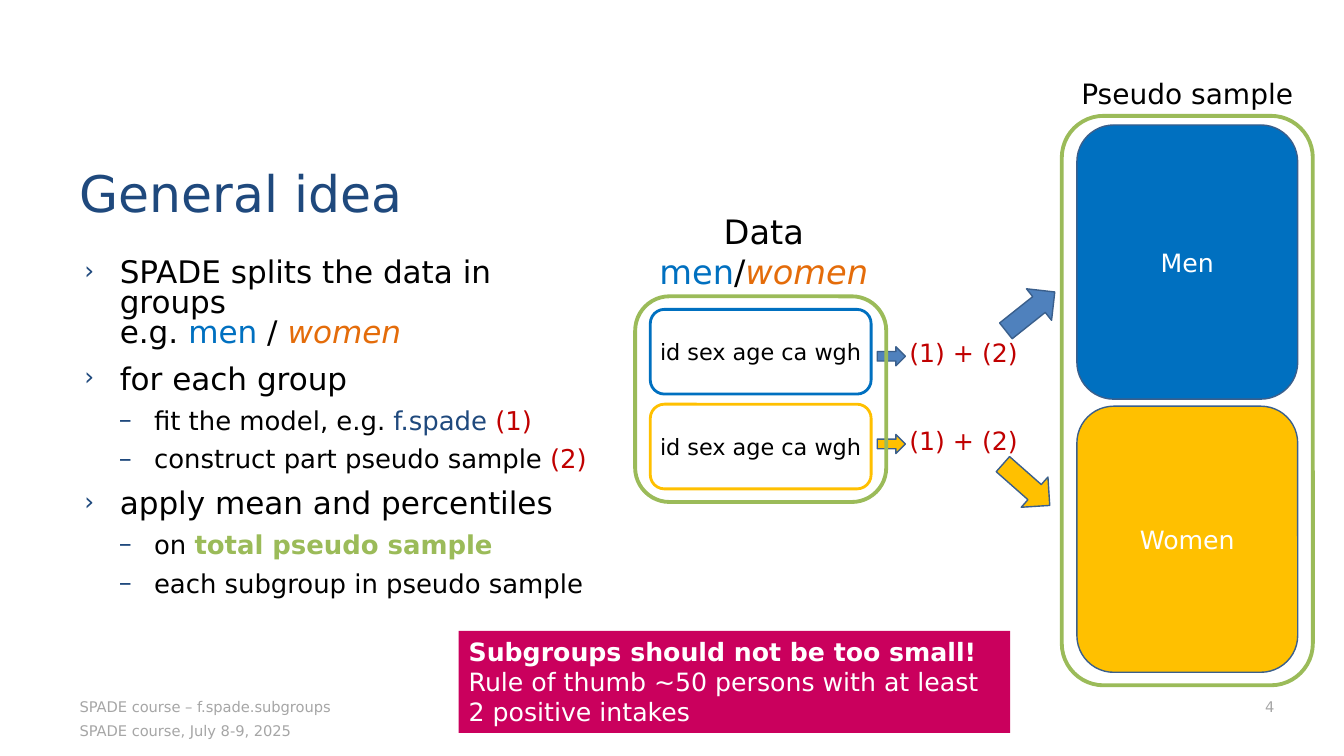
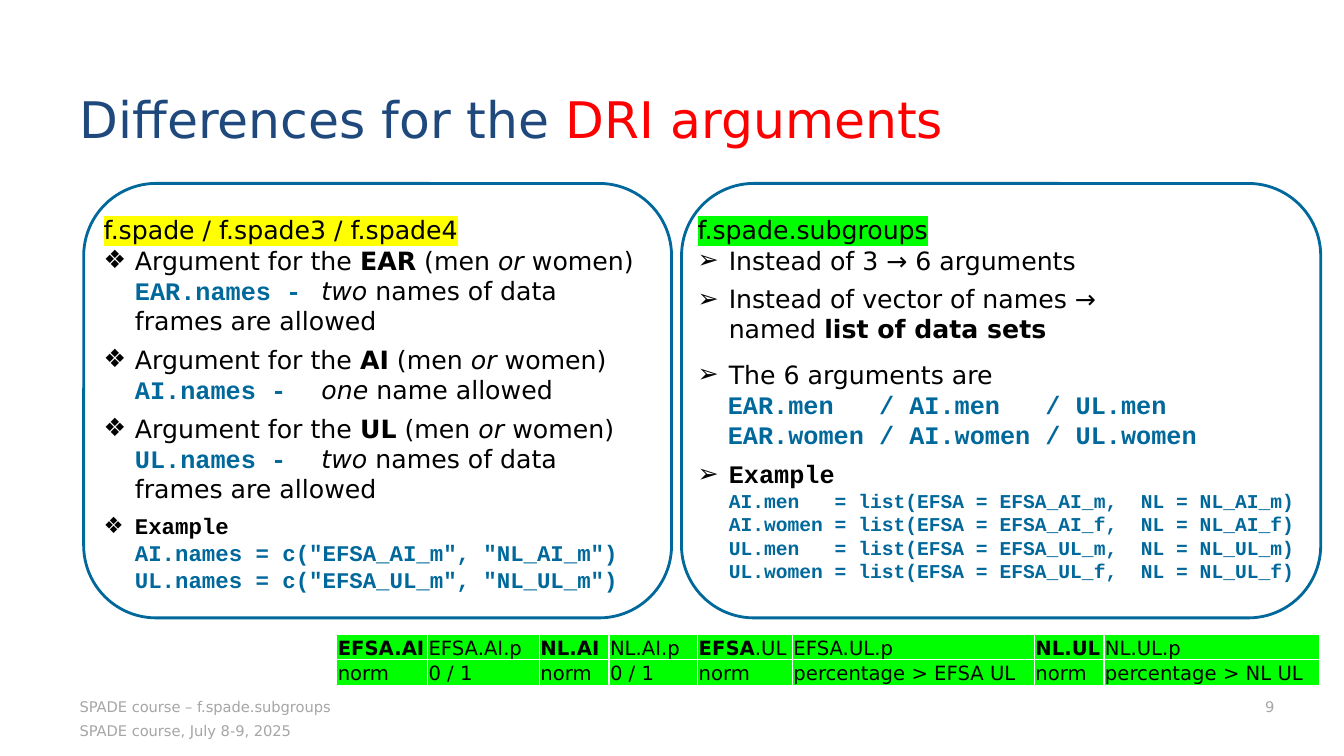
from copy import deepcopy

from lxml import etree
from pptx import Presentation
from pptx.dml.color import RGBColor
from pptx.enum.shapes import MSO_SHAPE as Shape
from pptx.enum.text import MSO_ANCHOR as Anchor, PP_ALIGN as Align
from pptx.oxml.ns import qn
from pptx.util import Inches, Pt

COLORS = {
    "black": "000000", "white": "FFFFFF", "navy": "1F497D", "grey": "A6A6A6",
    "blue": "0070C0", "orange": "E46C0A", "red": "C00000", "bright red": "FF0000",
    "green": "9BBB59", "gold": "FFC000", "steel": "4F81BD", "edge": "3A5F8C",
    "pink": "CA005D", "code": "01689B", "yellow": "FFFF00", "lime": "00FF00",
}
SANS, MONO = "DejaVu Sans", "Courier New"

deck = Presentation()
deck.slide_width, deck.slide_height = Inches(13.33), Inches(7.5)
# Places are given on a grid of 100 columns by 100 rows.
COLUMN, ROW = deck.slide_width / 100, deck.slide_height / 100


def draw(page, place, kind=None, fill=None, line=None, weight=1, turn=0):
    """Add a preset shape, or a text box when no kind is given."""
    left, top, width, height = place
    bounds = [int(left * COLUMN), int(top * ROW), int(width * COLUMN), int(height * ROW)]
    if kind is None:
        return page.shapes.add_textbox(*bounds)
    shape = page.shapes.add_shape(kind, *bounds)
    shape.shadow.inherit = False
    shape.rotation = turn
    if fill:
        shape.fill.solid()
        shape.fill.fore_color.rgb = RGBColor.from_string(COLORS[fill])
    else:
        shape.fill.background()
    if line:
        shape.line.color.rgb = RGBColor.from_string(COLORS[line])
        shape.line.width = Pt(weight)
    else:
        shape.line.fill.background()
    return shape


def write(frame, paragraphs, align=Align.LEFT, anchor=Anchor.TOP,
          insets=(0.1, 0.05, 0.1, 0.05), spacing=None, **base):
    """Fill a frame; a paragraph is (spans, layout), a span is (text, format)."""
    frame.word_wrap = True
    frame.vertical_anchor = anchor
    (frame.margin_left, frame.margin_top,
     frame.margin_right, frame.margin_bottom) = map(Inches, insets)
    for index, (spans, layout) in enumerate(paragraphs):
        para = frame.add_paragraph() if index else frame.paragraphs[0]
        para.alignment = align
        para.level = layout.get("level", 0)
        properties = para._p.get_or_add_pPr()
        if "indent" in layout:
            properties.set("marL", str(Inches(layout["indent"])))
            properties.set("indent", str(-Inches(layout.get("hanging", 0))))
        if "bullet" in layout:
            color = etree.SubElement(properties, qn("a:buClr"))
            etree.SubElement(color, qn("a:srgbClr"), val=COLORS[layout.get("bullet_color", "black")])
            etree.SubElement(properties, qn("a:buSzPct"), val=str(layout.get("bullet_size", 100) * 1000))
            etree.SubElement(properties, qn("a:buFont"), typeface=SANS)
            etree.SubElement(properties, qn("a:buChar"), char=layout["bullet"])
        if "tab" in layout:
            tabs = etree.SubElement(properties, qn("a:tabLst"))
            etree.SubElement(tabs, qn("a:tab"), pos=str(Inches(layout["tab"])), algn="l")
        para.line_spacing = layout.get("spacing", spacing)
        para.space_before = Pt(layout.get("before", 0) if index else 0)
        para.space_after = Pt(layout.get("after", 0))
        for text, changes in spans:
            style = {"size": 18, "font": SANS, "color": "black", **base, **changes}
            for number, piece in enumerate(text.split("\n")):
                if number:
                    para.add_line_break()
                    para._p[-1].append(deepcopy(span._r.rPr))
                span = para.add_run()
                span.text = piece
                span.font.size = Pt(style["size"])
                span.font.name = style["font"]
                span.font.bold = style.get("bold", False)
                span.font.italic = style.get("italic", False)
                span.font.color.rgb = RGBColor.from_string(COLORS[style["color"]])
                if "highlight" in style:
                    mark = etree.Element(qn("a:highlight"))
                    etree.SubElement(mark, qn("a:srgbClr"), val=COLORS[style["highlight"]])
                    span._r.rPr.find(qn("a:latin")).addprevious(mark)


# Title and footers of both slides
MARGIN, TITLE_WIDTH, FOOTER_WIDTH = 5.18, 89.65, 41.04
pages = []
for number, title_top, title_spans in [
    ("4", 16.4, [("General idea", {})]),
    ("9", 6.53, [("Differences for the ", {}), ("DRI arguments", {"color": "bright red"})]),
]:
    page = deck.slides.add_slide(deck.slide_layouts[5])
    pages.append(page)
    title = page.shapes.title
    title.left, title.width = int(MARGIN * COLUMN), int(TITLE_WIDTH * COLUMN)
    title.top, title.height = int(title_top * ROW), int(13.87 * ROW)
    write(title.text_frame, [(title_spans, {})], anchor=Anchor.BOTTOM,
          spacing=0.9, size=36, color="navy")
    for text, left, top, height, options in [
        ("SPADE course, July 8-9, 2025", MARGIN, 95.47, 3.87, {"insets": (0.1, 0, 0.1, 0.05)}),
        ("SPADE course – f.spade.subgroups", MARGIN, 90.67, 4.67, {"anchor": Anchor.BOTTOM}),
        (number, MARGIN + TITLE_WIDTH - FOOTER_WIDTH, 90.67, 4.67,
         {"anchor": Anchor.BOTTOM, "align": Align.RIGHT, "insets": (0.1, 0.05, 0, 0.05)}),
    ]:
        footer = draw(page, (left, top, FOOTER_WIDTH, height))
        write(footer.text_frame, [([(text, {})], {})], size=10.5, color="grey", **options)

general, differences = pages

# General idea: bullet list
point = {"indent": 0.35, "hanging": 0.35, "before": 12, "bullet": "›",
         "bullet_color": "navy", "bullet_size": 80}
subpoint = {"level": 1, "indent": 0.69, "hanging": 0.35, "before": 10, "bullet": "–",
            "bullet_color": "navy"}
large, red, blue = {"size": 22.2}, {"color": "red"}, {"color": "blue"}
women = {"color": "orange", "italic": True}
body = draw(general, (5.55, 33.73, 40.21, 51.33))
write(body.text_frame, [
    ([("SPADE splits the data in groups\ne.g. ", large), ("men", {**large, **blue}),
      (" / ", large), ("women", {**large, **women})], point),
    ([("for each group", large)], point),
    ([("fit the model, e.g. ", {}), ("f.spade ", {"color": "navy"}), ("(1)", red)], subpoint),
    ([("construct part pseudo sample ", {}), ("(2)", red)], subpoint),
    ([("apply mean and percentiles", large)], point),
    ([("on ", {}), ("total pseudo sample", {"color": "green", "bold": True})], subpoint),
    ([("each subgroup in pseudo sample", {})], subpoint),
], spacing=0.8, size=18.5)

# General idea: data split into groups and joined in the pseudo sample
FRAME_WIDTH, GROUP_WIDTH = 18.68, 16.43
SAMPLE_LEFT, DATA_LEFT = 79, 47.26
GROUP_INSET = (FRAME_WIDTH - GROUP_WIDTH) / 2

heading = draw(general, (DATA_LEFT + 0.23, 27.2, FRAME_WIDTH, 12.13))
write(heading.text_frame, [
    ([("Data", {})], {}),
    ([("men", blue), ("/", {}), ("women", women)], {}),
], align=Align.CENTER, size=24)

for name, fill, top, height in [("Men", "blue", 16.53, 36.27), ("Women", "gold", 53.73, 35.2)]:
    sample = draw(general, (SAMPLE_LEFT + GROUP_INSET, top, GROUP_WIDTH, height),
                  Shape.ROUNDED_RECTANGLE, fill, "edge")
    write(sample.text_frame, [([(name, {})], {})], align=Align.CENTER,
          anchor=Anchor.MIDDLE, color="white")
draw(general, (SAMPLE_LEFT, 15.33, FRAME_WIDTH, 75.33), Shape.ROUNDED_RECTANGLE,
     line="green", weight=2.75)
label = draw(general, (SAMPLE_LEFT, 9.47, FRAME_WIDTH, 5.87))
write(label.text_frame, [([("Pseudo sample", {})], {})], align=Align.CENTER, size=20)

for fill, top, arrow_left, arrow_top, turn in [
    ("steel", 44, 74.34, 38.53, 321.5),
    ("gold", 55.6, 74.04, 61.47, 41.4),
]:
    steps = draw(general, (66.92, top, 10.5, 5.33))
    write(steps.text_frame, [([("(1) + (2)", red)], {})])
    draw(general, (65.27, top + 1.87, 2.1, 2.53), Shape.RIGHT_ARROW, fill, "edge")
    draw(general, (arrow_left, arrow_top, 4.65, 5.33), Shape.RIGHT_ARROW, fill, "edge", turn=turn)

draw(general, (DATA_LEFT, 39.2, FRAME_WIDTH, 27.2), Shape.ROUNDED_RECTANGLE,
     line="green", weight=2.75)
for line, top in [("blue", 40.93), ("gold", 53.47)]:
    group = draw(general, (DATA_LEFT + GROUP_INSET, top, GROUP_WIDTH, 11.2),
                 Shape.ROUNDED_RECTANGLE, line=line, weight=2)
    write(group.text_frame, [([("id sex age ca wgh", {})], {})], align=Align.CENTER,
          anchor=Anchor.MIDDLE, insets=(0, 0, 0, 0), size=16)

warning = draw(general, (34.13, 83.47, 41.04, 13.47), Shape.RECTANGLE, "pink")
write(warning.text_frame, [
    ([("Subgroups should not be too small!", {"bold": True})], {}),
    ([("Rule of thumb ~50 persons with at least 2 positive intakes", {})], {}),
], color="white")

# Differences: two panels
bold, italic = {"bold": True}, {"italic": True}
code = {"font": MONO, "color": "code", "bold": True}
code_title = {"font": MONO, "bold": True}
diamond = {"indent": 0.31, "hanging": 0.31, "bullet": "❖", "tab": 2.16}
arrow = {"indent": 0.31, "hanging": 0.31, "bullet": "➢"}

single = [([("f.spade / f.spade3 / f.spade4", {"highlight": "yellow"})], {"spacing": 1.5})]
for norm, count, allowed in [
    ("EAR", "two", " names of data\nframes are allowed"),
    ("AI", "one", " name allowed"),
    ("UL", "two", " names of data\nframes are allowed"),
]:
    single.append((
        [("Argument for the ", {}), (norm, bold), (" (men ", {}), ("or", italic),
         (" women)\n", {}), (f"{norm}.names -\t", code), (count, italic), (allowed, {})],
        {**diamond, "spacing": Pt(21.6), "after": 6}))
single.append((
    [("Example\n", {**code_title, "size": 16}),
     ('AI.names = c("EFSA_AI_m", "NL_AI_m")\nUL.names = c("EFSA_UL_m", "NL_UL_m")',
      {**code, "size": 16})], diamond))

subgroups = [
    ([("f.spade.subgroups", {"highlight": "lime"})], {"spacing": 1.5}),
    ([("Instead of 3 → 6 arguments", {})], {**arrow, "after": 6}),
    ([("Instead of vector of names →\nnamed ", {}), ("list of data sets", bold)], arrow),
    ([("The 6 arguments are", {})], {**arrow, "spacing": 1.5}),
    ([("EAR.men   / AI.men   / UL.men\nEAR.women / AI.women / UL.women", code)],
     {"indent": 0.3, "after": 6}),
    ([("Example\n", code_title),
      ("AI.men   = list(EFSA = EFSA_AI_m,  NL = NL_AI_m)\n"
       "AI.women = list(EFSA = EFSA_AI_f,  NL = NL_AI_f)\n"
       "UL.men   = list(EFSA = EFSA_UL_m,  NL = NL_UL_m)\n"
       "UL.women = list(EFSA = EFSA_UL_f,  NL = NL_UL_f)", {**code, "size": 14})], arrow),
]
for paragraphs, text_left, text_width, left, width in [
    (single, 6.98, 41.86, 6.23, 43.74),
    (subgroups, 51.16, 47.11, 50.71, 47.56),
]:
    panel = draw(differences, (text_left, 25.73, text_width, 54.4))
    write(panel.text_frame, paragraphs)
    draw(differences, (left, 24.27, width, 57.47), Shape.ROUNDED_RECTANGLE, line="code", weight=2)

# Differences: table of norms
norms = [
    (6.75, [("EFSA.AI", bold)], "norm"),
    (8.33, [("EFSA.AI.p", {})], "0 / 1"),
    (5.18, [("NL.AI", bold)], "norm"),
    (6.6, [("NL.AI.p", {})], "0 / 1"),
    (7.05, [("EFSA", bold), (".UL", {})], "norm"),
    (18, [("EFSA.UL.p", {})], "percentage > EFSA UL"),
    (5.18, [("NL.UL", bold)], "norm"),
    (16.05, [("NL.UL.p", {})], "percentage > NL UL"),
]
table_width = sum(width for width, _, _ in norms)
table = differences.shapes.add_table(
    2, len(norms), int(25.06 * COLUMN), int(83.87 * ROW),
    int(table_width * COLUMN), int(6.8 * ROW)).table
for index, (width, header, value) in enumerate(norms):
    table.columns[index].width = int(width * COLUMN)
    for row, spans in enumerate([header, [(value, {})]]):
        cell = table.cell(row, index)
        write(cell.text_frame, [(spans, {})], size=14)
        cell.vertical_anchor = Anchor.BOTTOM
        cell.margin_left = cell.margin_top = cell.margin_right = Inches(0.01)
        cell.margin_bottom = 0
        properties = cell._tc.get_or_add_tcPr()
        for side in ("a:lnL", "a:lnR", "a:lnT", "a:lnB"):
            border = etree.SubElement(properties, qn(side), w=str(Pt(1)))
            paint = etree.SubElement(border, qn("a:solidFill"))
            etree.SubElement(paint, qn("a:srgbClr"), val=COLORS["white"])
        cell.fill.solid()
        cell.fill.fore_color.rgb = RGBColor.from_string(COLORS["lime"])

deck.save("out.pptx")
